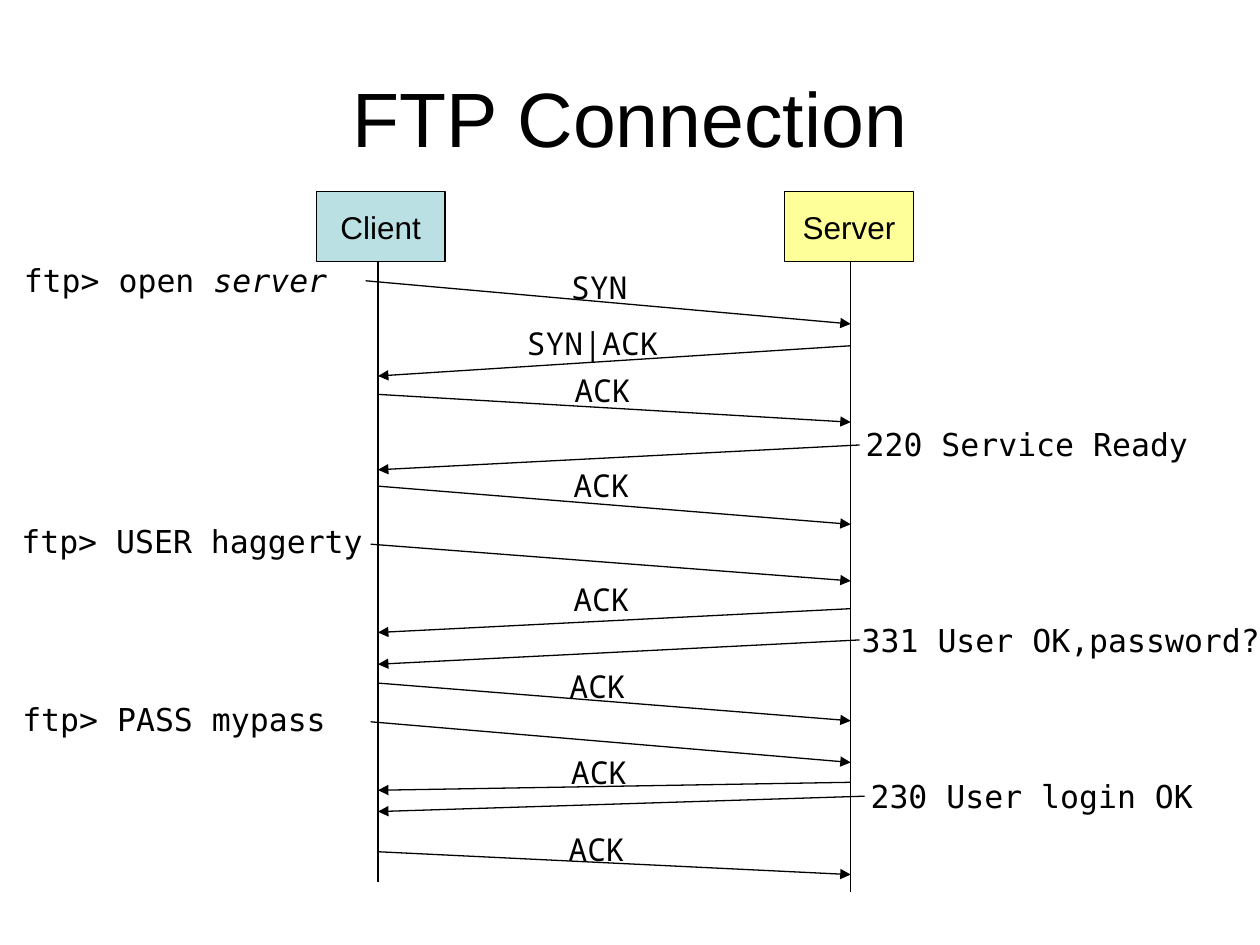
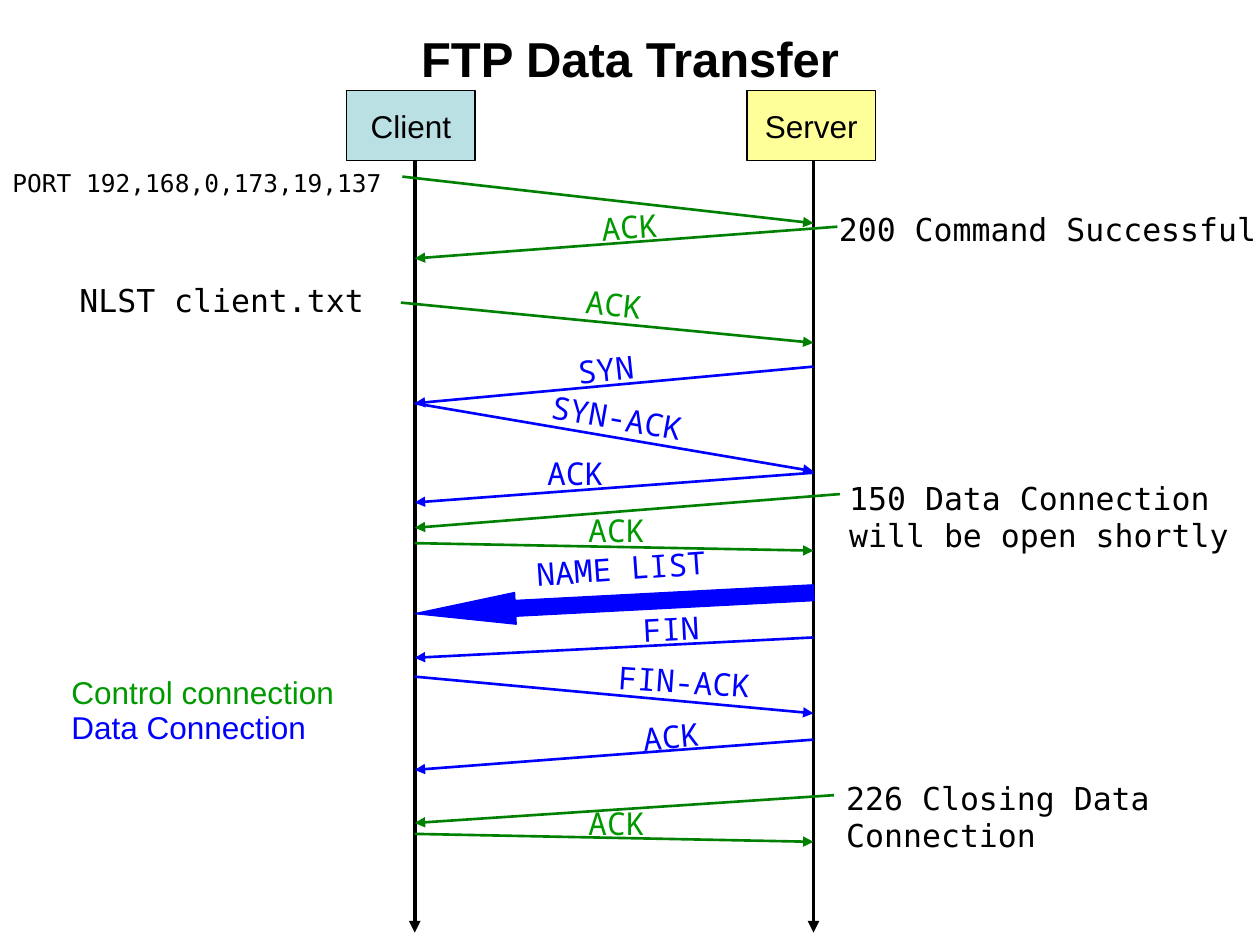
from dataclasses import dataclass

from lxml.etree import SubElement
from pptx import Presentation
from pptx.dml.color import RGBColor
from pptx.enum.shapes import MSO_CONNECTOR, MSO_SHAPE
from pptx.enum.text import MSO_ANCHOR, MSO_AUTO_SIZE, PP_ALIGN
from pptx.oxml.ns import qn
from pptx.util import Cm, Pt


@dataclass(frozen=True)
class Theme:
    """Colours, fonts and sizes shared by the slides."""
    ink: str = "000000"
    control: str = "008000"
    control_text: str = "009900"
    data: str = "0000FF"
    client: str = "BBE0E3"
    server: str = "FFFF99"
    sans: str = "Arial"
    code: str = "DejaVu Sans Mono"
    label: str = "Noto Sans Mono"
    body: int = 18
    small: int = 14
    thin: float = 0.75
    medium: float = 1.5
    thick: float = 2.25


THEME = Theme()
RIGHT, LEFT = "to server", "to client"
TEXT_HEIGHT = 1.02

CONNECTION = {
    "title": {"text": "FTP Connection", "top": 0.76, "size": 44, "bold": False},
    "lifelines": {"x": (7.62, 17.15), "top": 5.28, "ends": (17.78, 17.98),
                  "width": THEME.thin, "arrow": False},
    "actors": {"lefts": (6.38, 15.82), "top": 3.86},
    "message_width": THEME.thin,
    "messages": [
        (RIGHT, 5.66, 6.53, 0.25, THEME.ink),
        (LEFT, 6.97, 7.58, 0, THEME.ink),
        (RIGHT, 7.95, 8.51, 0, THEME.ink),
        (LEFT, 8.97, 9.47, 0.18, THEME.ink),
        (RIGHT, 9.8, 10.57, 0, THEME.ink),
        (RIGHT, 10.97, 11.71, 0.15, THEME.ink),
        (LEFT, 12.27, 12.75, 0, THEME.ink),
        (LEFT, 12.9, 13.39, 0.18, THEME.ink),
        (RIGHT, 13.77, 14.53, 0, THEME.ink),
        (RIGHT, 14.55, 15.37, 0.15, THEME.ink),
        (LEFT, 15.77, 15.93, 0, THEME.ink),
        (LEFT, 16.05, 16.36, 0.28, THEME.ink),
        (RIGHT, 17.17, 17.63, 0, THEME.ink),
    ],
    "labels": [
        ("SYN", 12.08, 5.79, 0, THEME.ink),
        ("SYN|ACK", 11.95, 6.91, 0, THEME.ink),
        ("ACK", 12.15, 7.87, 0, THEME.ink),
        ("ACK", 12.13, 9.78, 0, THEME.ink),
        ("ACK", 12.13, 12.07, 0, THEME.ink),
        ("ACK", 12.05, 13.82, 0, THEME.ink),
        ("ACK", 12.08, 15.57, 0, THEME.ink),
        ("ACK", 12.03, 17.12, 0, THEME.ink),
    ],
    "notes": [
        ("ftp> open ", 0.23, 5.64, {"italic_tail": "server"}),
        ("220 Service Ready", 17.2, 8.94, {}),
        ("ftp> USER haggerty", 0.18, 10.9, {}),
        ("331 User OK,password?", 17.12, 12.9, {}),
        ("ftp> PASS mypass", 0.2, 14.5, {}),
        ("230 User login OK", 17.3, 16.05, {}),
    ],
}

TRANSFER = {
    "title": {"text": "FTP Data Transfer", "top": -0.43, "size": 28, "bold": True},
    "lifelines": {"x": (8.36, 16.4), "top": 2.92, "ends": (18.8, 18.8),
                  "width": THEME.thick, "arrow": True},
    "actors": {"lefts": (6.99, 15.06), "top": 1.82},
    "message_width": THEME.medium,
    "messages": [
        (RIGHT, 3.56, 4.5, 0.25, THEME.control),
        (LEFT, 4.57, 5.21, 0.48, THEME.control),
        (RIGHT, 6.1, 6.91, 0.28, THEME.control),
        (LEFT, 7.39, 8.13, 0, THEME.data),
        (RIGHT, 8.13, 9.5, 0, THEME.data),
        (LEFT, 9.53, 10.13, 0, THEME.data),
        (LEFT, 9.96, 10.64, 0.53, THEME.control),
        (RIGHT, 10.95, 11.1, 0, THEME.control),
        (LEFT, 12.85, 13.26, 0, THEME.data),
        (RIGHT, 13.64, 14.38, 0, THEME.data),
        (LEFT, 14.91, 15.52, 0, THEME.data),
        (LEFT, 16.03, 16.59, 0.41, THEME.control),
        (RIGHT, 16.81, 16.97, 0, THEME.control),
    ],
    "labels": [
        ("ACK", 12.69, 4.57, -4, THEME.control_text),
        ("ACK", 12.38, 6.12, 6, THEME.control_text),
        ("SYN", 12.21, 7.44, -6, THEME.data),
        ("SYN-ACK", 12.44, 8.41, 10, THEME.data),
        ("ACK", 11.6, 9.53, 0, THEME.data),
        ("ACK", 12.43, 10.69, 0, THEME.control_text),
        ("NAME LIST", 12.52, 11.45, -4, THEME.data),
        ("FIN", 13.53, 12.67, -3, THEME.data),
        ("FIN-ACK", 13.8, 13.73, 4, THEME.data),
        ("ACK", 13.53, 14.84, -5, THEME.data),
        ("ACK", 12.43, 16.59, 0, THEME.control_text),
    ],
    "notes": [
        ("PORT 192,168,0,173,19,137", 0, 3.68, {"size": THEME.small}),
        ("200 Command Successful", 16.66, 4.62, {}),
        ("NLST client.txt", 1.35, 6.05, {}),
        ("150 Data Connection will be open shortly", 16.87, 10.41, {"width": 8.53}),
        ("226 Closing Data Connection", 16.81, 16.46, {"width": 8.59}),
        ("Control connection", 1.19, 13.94,
         {"font": THEME.sans, "color": THEME.control_text}),
        ("Data Connection", 1.19, 14.66, {"font": THEME.sans, "color": THEME.data}),
    ],
    "block_arrow": {"box": (8.36, 11.84, 8.05, 0.64), "angle": -3,
                    "adjustments": (0.5, 3.17)},
}


def write_text(frame, text, *, font=THEME.code, size=THEME.body, color=THEME.ink,
               bold=False, align=PP_ALIGN.LEFT, italic_tail="", wrap=True):
    """Fill a text frame with one formatted paragraph."""
    frame.word_wrap = wrap
    frame.auto_size = MSO_AUTO_SIZE.NONE
    frame.vertical_anchor = MSO_ANCHOR.MIDDLE
    para = frame.paragraphs[0]
    para.alignment = align
    for words, italic in ((text, False), (italic_tail, True)):
        if words:
            span = para.add_run()
            span.text = words
            span.font.name = font
            span.font.size = Pt(size)
            span.font.bold = bold
            span.font.italic = italic
            span.font.color.rgb = RGBColor.from_string(color)


def text_width(text, size=THEME.body):
    """Return the width in centimetres that monospaced text needs."""
    return len(text) * size * 0.0213 + 0.6


def add_title(page, text, top, size, bold):
    """Place and format the title placeholder."""
    title = page.shapes.title
    title.left, title.top, title.width, title.height = map(Cm, (1.27, top, 22.86, 3.18))
    write_text(title.text_frame, text, font=THEME.sans, size=size, bold=bold,
               align=PP_ALIGN.CENTER)


def add_line(page, start, end, color, width, arrow=True):
    """Draw a straight line, with an arrowhead at its end if wanted."""
    line = page.shapes.add_connector(MSO_CONNECTOR.STRAIGHT, *map(Cm, (*start, *end)))
    line.line.color.rgb = RGBColor.from_string(color)
    line.line.width = Pt(width)
    if arrow:
        SubElement(line.line._get_or_add_ln(), qn("a:tailEnd"), type="triangle")
    SubElement(line._element.spPr, qn("a:effectLst"))


def add_filled(page, preset, box, fill, outline):
    """Add a preset shape with a flat fill and a thin outline."""
    shape = page.shapes.add_shape(preset, *map(Cm, box))
    shape.shadow.inherit = False
    shape.fill.solid()
    shape.fill.fore_color.rgb = RGBColor.from_string(fill)
    shape.line.color.rgb = RGBColor.from_string(outline)
    shape.line.width = Pt(THEME.thin)
    return shape


def add_lifelines(page, x, top, ends, width, arrow):
    """Draw the vertical time line of each actor."""
    for line_x, bottom in zip(x, ends):
        add_line(page, (line_x, top), (line_x, bottom), THEME.ink, width, arrow)


def add_message(page, lifelines, width, direction, start_y, end_y, overhang, color):
    """Draw one message between the lifelines, starting outside by the overhang."""
    client_x, server_x = lifelines
    if direction == RIGHT:
        start_x, end_x = client_x - overhang, server_x
    else:
        start_x, end_x = server_x + overhang, client_x
    add_line(page, (start_x, start_y), (end_x, end_y), color, width)


def add_label(page, text, center_x, center_y, angle, color):
    """Write a message name around a centre point."""
    width = text_width(text)
    box = page.shapes.add_textbox(Cm(center_x - width / 2), Cm(center_y - TEXT_HEIGHT / 2),
                                  Cm(width), Cm(TEXT_HEIGHT))
    box.rotation = angle
    write_text(box.text_frame, text, font=THEME.label, color=color, align=PP_ALIGN.CENTER)


def add_note(page, text, left, center_y, width=None, **style):
    """Write a command, reply or legend line beside the diagram."""
    height = TEXT_HEIGHT if width is None else 1.78
    full_text = text + style.get("italic_tail", "")
    width = width or text_width(full_text, style.get("size", THEME.body))
    box = page.shapes.add_textbox(Cm(left), Cm(center_y - height / 2), Cm(width), Cm(height))
    write_text(box.text_frame, text, **style)


def add_actors(page, lefts, top):
    """Add the client and server boxes."""
    actors = (("Client", THEME.client), ("Server", THEME.server))
    for left, (name, fill) in zip(lefts, actors):
        actor = add_filled(page, MSO_SHAPE.RECTANGLE, (left, top, 2.59, 1.42), fill, THEME.ink)
        write_text(actor.text_frame, name, font=THEME.sans, align=PP_ALIGN.CENTER, wrap=False)


def add_block_arrow(page, box, angle, adjustments):
    """Add the wide arrow that stands for the data itself."""
    arrow = add_filled(page, MSO_SHAPE.LEFT_ARROW, box, THEME.data, THEME.data)
    arrow.rotation = angle
    for index, value in enumerate(adjustments):
        arrow.adjustments[index] = value


def add_sequence(deck, content):
    """Add one slide with a sequence diagram."""
    page = deck.slides.add_slide(deck.slide_layouts[5])
    add_title(page, **content["title"])
    add_lifelines(page, **content["lifelines"])
    for message in content["messages"]:
        add_message(page, content["lifelines"]["x"], content["message_width"], *message)
    if "block_arrow" in content:
        add_block_arrow(page, **content["block_arrow"])
    for label in content["labels"]:
        add_label(page, *label)
    for text, left, center_y, style in content["notes"]:
        add_note(page, text, left, center_y, **style)
    add_actors(page, **content["actors"])


def main():
    """Build and save the deck."""
    deck = Presentation()
    deck.slide_width, deck.slide_height = Cm(25.4), Cm(19.05)
    for content in (CONNECTION, TRANSFER):
        add_sequence(deck, content)
    deck.save("out.pptx")


if __name__ == "__main__":
    main()
